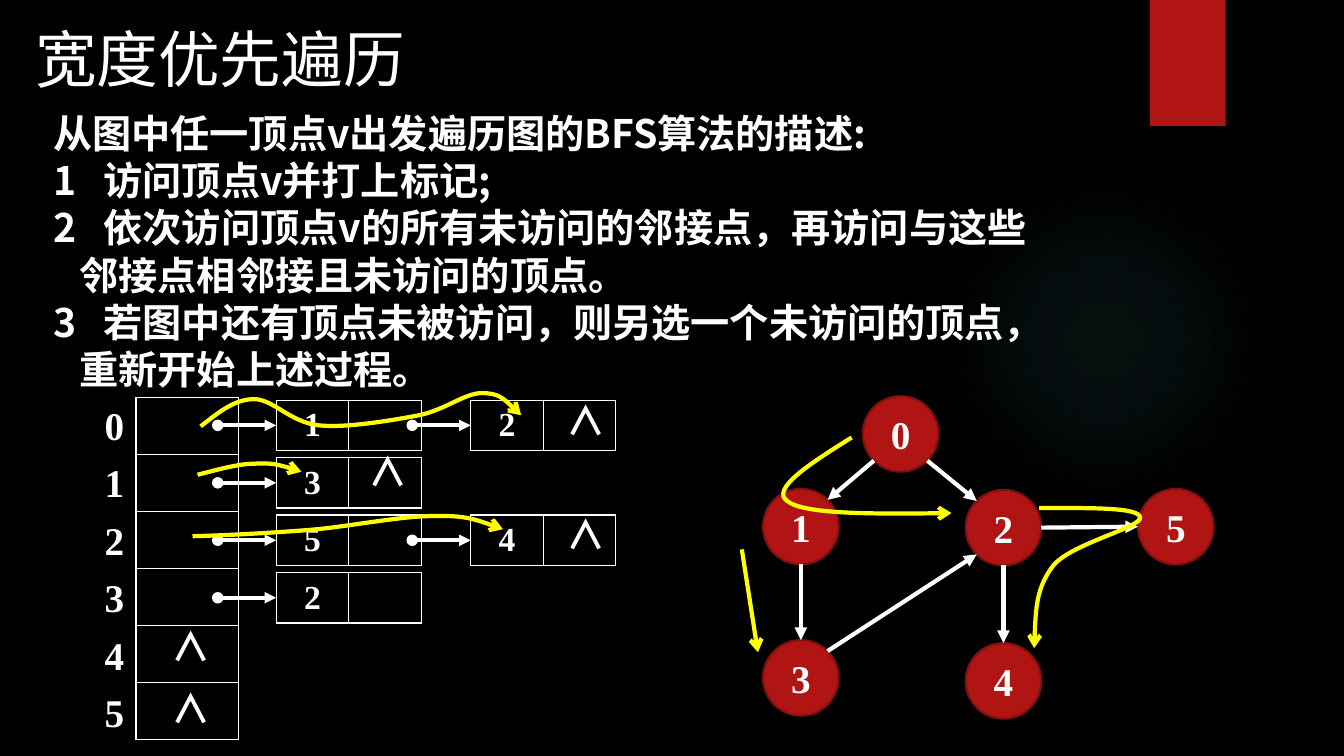
from lxml.etree import SubElement
from pptx import Presentation
from pptx.dml.color import RGBColor
from pptx.enum.shapes import MSO_CONNECTOR, MSO_SHAPE
from pptx.enum.text import MSO_ANCHOR, PP_ALIGN
from pptx.oxml import parse_xml
from pptx.oxml.ns import nsdecls, qn
from pptx.util import Inches, Pt
from math import cos, radians, sin

COLORS = {"bg": "000000", "text": "FFFFFF", "red": "B01513",
          "rim": "82100E", "route": "FFFF00", "glow": "50B9C1"}
SERIF, SANS = "Times New Roman", "Noto Sans CJK SC"
PITCH = 0.57
STEPS = [
    ("从图中任一顶点v出发遍历图的BFS算法的描述:", 0.18, 0),
    ("1\t访问顶点v并打上标记;", 0.68, -0.5),
    ("2\t依次访问顶点v的所有未访问的邻接点，再访问与这些", 0.68, -0.5),
    ("邻接点相邻接且未访问的顶点。", 0.44, 0),
    ("3\t若图中还有顶点未被访问，则另选一个未访问的顶点，", 0.68, -0.5),
    ("重新开始上述过程。", 0.44, 0),
]
NEIGHBOURS = [["1", "2"], ["3"], ["5", "4"], ["2"]]
LIST_ENDS = [(4.57, -0.02), (2.61, 0.49), (4.57, 1.11), (0.66, 2.23), (0.66, 2.84)]
LIST_ROUTES = [
    [(1.05, 0.33), (1.22, 0.2), (1.38, 0.06), (1.58, 0.06), (1.77, 0.06),
     (1.94, 0.29), (2.22, 0.32), (2.49, 0.35), (2.95, 0.27), (3.22, 0.22),
     (3.49, 0.16), (3.67, 0), (3.84, 0), (4.01, 0), (4.12, 0.11), (4.23, 0.22)],
    [(1.02, 0.81), (1.22, 0.76), (1.42, 0.7), (1.59, 0.7), (1.76, 0.69),
     (1.91, 0.73), (2.05, 0.78)],
    [(0.97, 1.42), (1.34, 1.41), (1.7, 1.39), (2.1, 1.36), (2.5, 1.33),
     (3.02, 1.22), (3.35, 1.22), (3.67, 1.21), (3.86, 1.28), (4.05, 1.35)],
]
NODES = [(1.2, 0), (0.21, 0.92), (2.22, 0.93), (0.21, 2.42), (2.22, 2.45), (3.93, 0.92)]
EDGES = [(0, 135, 1, 315), (0, 45, 2, 225), (1, 90, 3, 270),
         (3, 315, 2, 135), (2, 0, 5, 180), (2, 90, 4, 270)]
GRAPH_ROUTES = [
    [(1.09, 0.41), (0.69, 0.66), (0.28, 0.92), (0.45, 1.04), (0.61, 1.17),
     (1.35, 1.17), (2.08, 1.16)],
    [(0, 1.52), (0.16, 2.54)],
    [(2.95, 1.11), (3.44, 1.11), (3.93, 1.1), (3.95, 1.2), (3.98, 1.3),
     (3.27, 1.46), (3.09, 1.68), (2.92, 1.9), (2.91, 2.2), (2.9, 2.5)],
]


def rgb(name):
    """Return the named palette colour."""
    return RGBColor.from_string(COLORS[name])


def style(p, size, font, bold=True, align=None):
    """Set the font and alignment of a paragraph."""
    p.font.size, p.font.name, p.font.bold = Pt(size), font, bold
    p.font.color.rgb = rgb("text")
    p.alignment = align
    if font == SANS:
        p.line_spacing = Pt(33.6)
        for r in p.runs:
            SubElement(r._r.get_or_add_rPr(), qn("a:ea"), typeface=font)


def add_text(slide, box, text, size, font, bold=True, align=None):
    """Add a one-paragraph text box."""
    tf = slide.shapes.add_textbox(*map(Inches, box)).text_frame
    tf.word_wrap = True
    p = tf.paragraphs[0]
    p.text = text
    style(p, size, font, bold, align)


def set_stroke(s, color, width, head=None, tail=None):
    """Set line colour, width and arrowheads."""
    s.line.color.rgb, s.line.width = rgb(color), Pt(width)
    ln = s.element.spPr.find(qn("a:ln"))
    for tag, kind in (("a:headEnd", head), ("a:tailEnd", tail)):
        if kind:
            SubElement(ln, qn(tag), type=kind)


def add_arrow(slide, start, end, width, head=None):
    """Add a straight white arrow."""
    s = slide.shapes.add_connector(MSO_CONNECTOR.STRAIGHT, *map(Inches, start + end))
    set_stroke(s, "text", width, head, "triangle")
    SubElement(s.element.spPr, qn("a:effectLst"))


def add_route(slide, x, y, knots):
    """Draw a yellow arrow, straight for two knots and else of cubic curves."""
    points = [(Inches(x + dx), Inches(y + dy)) for dx, dy in knots]
    stride = 3 if len(points) > 2 else 1
    builder = slide.shapes.build_freeform(*points[0])
    builder.add_line_segments(points[stride::stride], close=False)
    s = builder.convert_to_shape()
    if stride == 3:
        for i, segment in enumerate(list(s.element.iter(qn("a:lnTo")))):
            segment.tag = qn("a:cubicBezTo")
            for k, (px, py) in enumerate(points[3 * i + 1:3 * i + 3]):
                segment.insert(k, parse_xml(
                    f'<a:pt {nsdecls("a")} x="{px - s.left}" y="{py - s.top}"/>'))
    s.fill.background()
    s.shadow.inherit = False
    set_stroke(s, "route", 3, tail="arrow")


def add_cells(slide, box, rows):
    """Add a white-ruled table without fill."""
    table = slide.shapes.add_table(len(rows), len(rows[0]), *map(Inches, box)).table
    table.first_row = table.horz_banding = False
    for i, row in enumerate(rows):
        for j, text in enumerate(row):
            cell = table.cell(i, j)
            cell.fill.background()
            cell.vertical_anchor = MSO_ANCHOR.MIDDLE
            if text:
                cell.text = text
                style(cell.text_frame.paragraphs[0], 24, SERIF, align=PP_ALIGN.CENTER)
            for k, side in enumerate("LRTB"):
                cell._tc.get_or_add_tcPr().insert(k, parse_xml(
                    f'<a:ln{side} {nsdecls("a")} w="12700"><a:solidFill>'
                    f'<a:srgbClr val="{COLORS["text"]}"/></a:solidFill></a:ln{side}>'))


def draw_backdrop(slide, glow_box, tab_box):
    """Draw the black background, soft glow and red tab."""
    slide.background.fill.solid()
    slide.background.fill.fore_color.rgb = rgb("bg")
    for kind, box in ((MSO_SHAPE.OVAL, glow_box), (MSO_SHAPE.RECTANGLE, tab_box)):
        s = slide.shapes.add_shape(kind, *map(Inches, box))
        s.line.fill.background()
        s.shadow.inherit = False
        if kind == MSO_SHAPE.RECTANGLE:
            s.fill.solid()
            s.fill.fore_color.rgb = rgb("red")
        else:
            stops = "".join(
                f'<a:gs pos="{pos}000"><a:srgbClr val="{COLORS["glow"]}">'
                f'<a:alpha val="{alpha}000"/></a:srgbClr></a:gs>'
                for pos, alpha in ((0, 7), (36, 6), (69, 0)))
            s.element.spPr.find(qn("a:prstGeom")).addnext(parse_xml(
                f'<a:gradFill {nsdecls("a")}><a:gsLst>{stops}</a:gsLst>'
                '<a:path path="circle"><a:fillToRect l="50000" t="50000" '
                'r="50000" b="50000"/></a:path></a:gradFill>'))


def draw_steps(slide, box):
    """Write the algorithm description with hanging numbers."""
    tf = slide.shapes.add_textbox(*map(Inches, box)).text_frame
    tf.word_wrap = True
    for i, (text, margin, indent) in enumerate(STEPS):
        p = tf.add_paragraph() if i else tf.paragraphs[0]
        p.text = text
        style(p, 28, SANS)
        pPr = p._p.get_or_add_pPr()
        pPr.set("marL", str(Inches(margin)))
        pPr.set("indent", str(Inches(indent)))


def draw_adjacency_list(slide, x, y):
    """Draw the vertex column, linked cells and visiting routes."""
    add_cells(slide, (x + 0.41, y + 0.04, 1.02, 3.4), [[""]] * 6)
    for row in range(6):
        add_text(slide, (x, y + 0.03 + row * PITCH, 0.99, PITCH), str(row), 28, SERIF)
    for row, names in enumerate(NEIGHBOURS):
        for col, name in enumerate(names):
            left, top = x + 1.8 + col * 1.93, y + 0.07 + row * PITCH
            add_cells(slide, (left, top, 1.44, 0.5), [[name, ""]])
            add_arrow(slide, (left - 0.58, top + 0.25), (left, top + 0.25), 2.75, "oval")
    for dx, dy in LIST_ENDS:
        add_text(slide, (x + dx, y + dy, 0.6, PITCH), "∧", 28, SANS,
                 align=PP_ALIGN.CENTER)
    for knots in LIST_ROUTES:
        add_route(slide, x, y, knots)


def draw_graph(slide, x, y, size=0.75):
    """Draw the directed graph and its visiting routes."""
    for name, (dx, dy) in enumerate(NODES):
        s = slide.shapes.add_shape(
            MSO_SHAPE.OVAL, *map(Inches, (x + dx, y + dy, size, size)))
        s.shadow.inherit = False
        s.fill.solid()
        s.fill.fore_color.rgb = rgb("red")
        set_stroke(s, "rim", 1.5)
        s.text_frame.vertical_anchor = MSO_ANCHOR.MIDDLE
        p = s.text_frame.paragraphs[0]
        p.text = str(name)
        style(p, 28, SERIF, align=PP_ALIGN.CENTER)

    def rim(node, angle):
        """Return the point on a node's rim at a clockwise angle."""
        dx, dy = NODES[node]
        return (x + dx + size / 2 * (1 + cos(radians(angle))),
                y + dy + size / 2 * (1 + sin(radians(angle))))

    for a, leave, b, enter in EDGES:
        add_arrow(slide, rim(a, leave), rim(b, enter), 3)
    for knots in GRAPH_ROUTES:
        add_route(slide, x, y, knots)


def main():
    """Build and save the slide."""
    prs = Presentation()
    prs.slide_width, prs.slide_height = Inches(40 / 3), Inches(7.5)
    slide = prs.slides.add_slide(prs.slide_layouts[6])
    draw_backdrop(slide, (9.41, 1.83, 3.08, 3.08), (11.41, 0, 0.75, 1.25))
    draw_steps(slide, (0.25, 1.04, 12.57, 2.93))
    add_text(slide, (0.25, 0.16, 10.29, 1.53), "宽度优先遍历", 44, SERIF, bold=False)
    draw_adjacency_list(slide, 0.94, 3.9)
    draw_graph(slide, 7.36, 3.93)
    prs.save("out.pptx")


if __name__ == "__main__":
    main()
